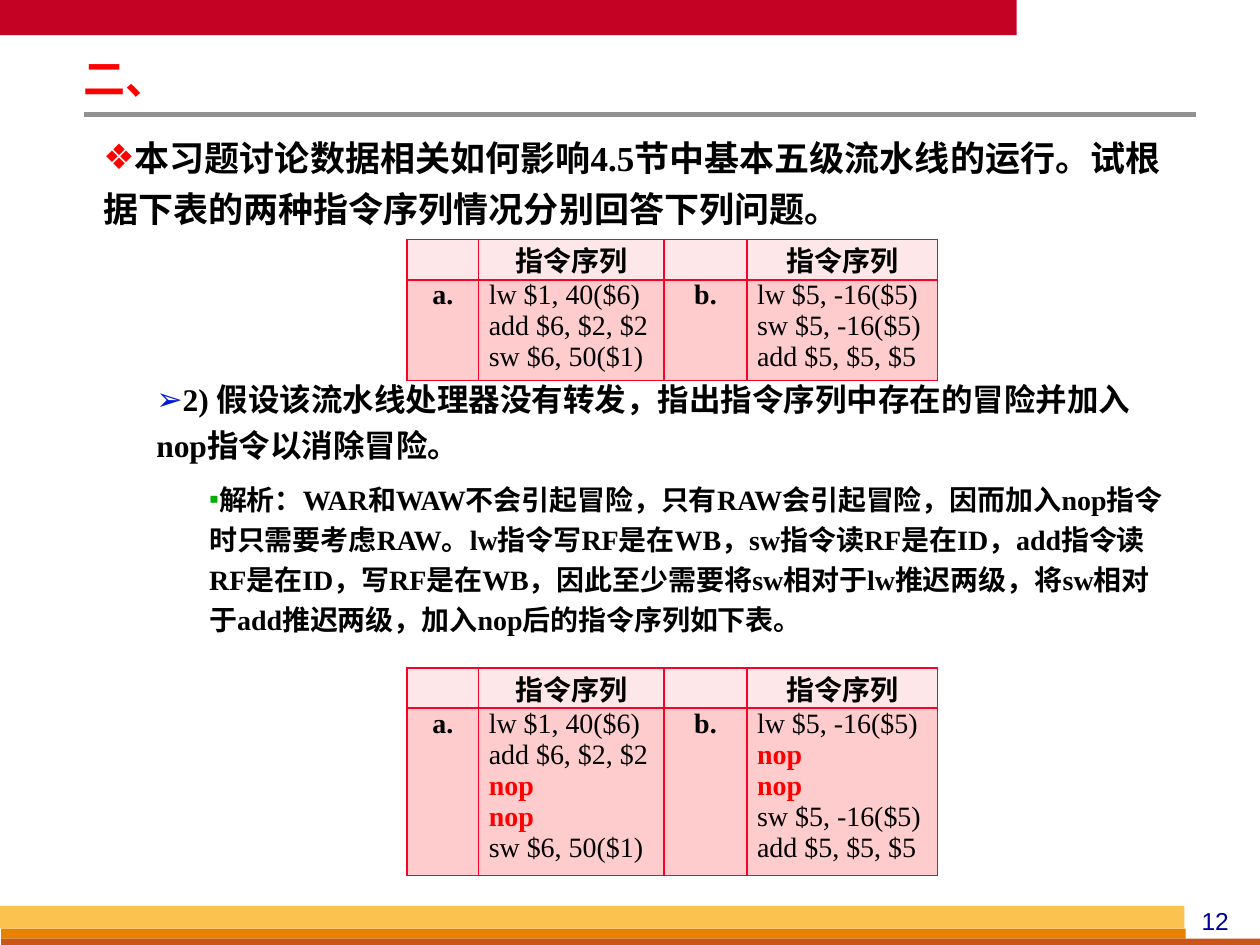
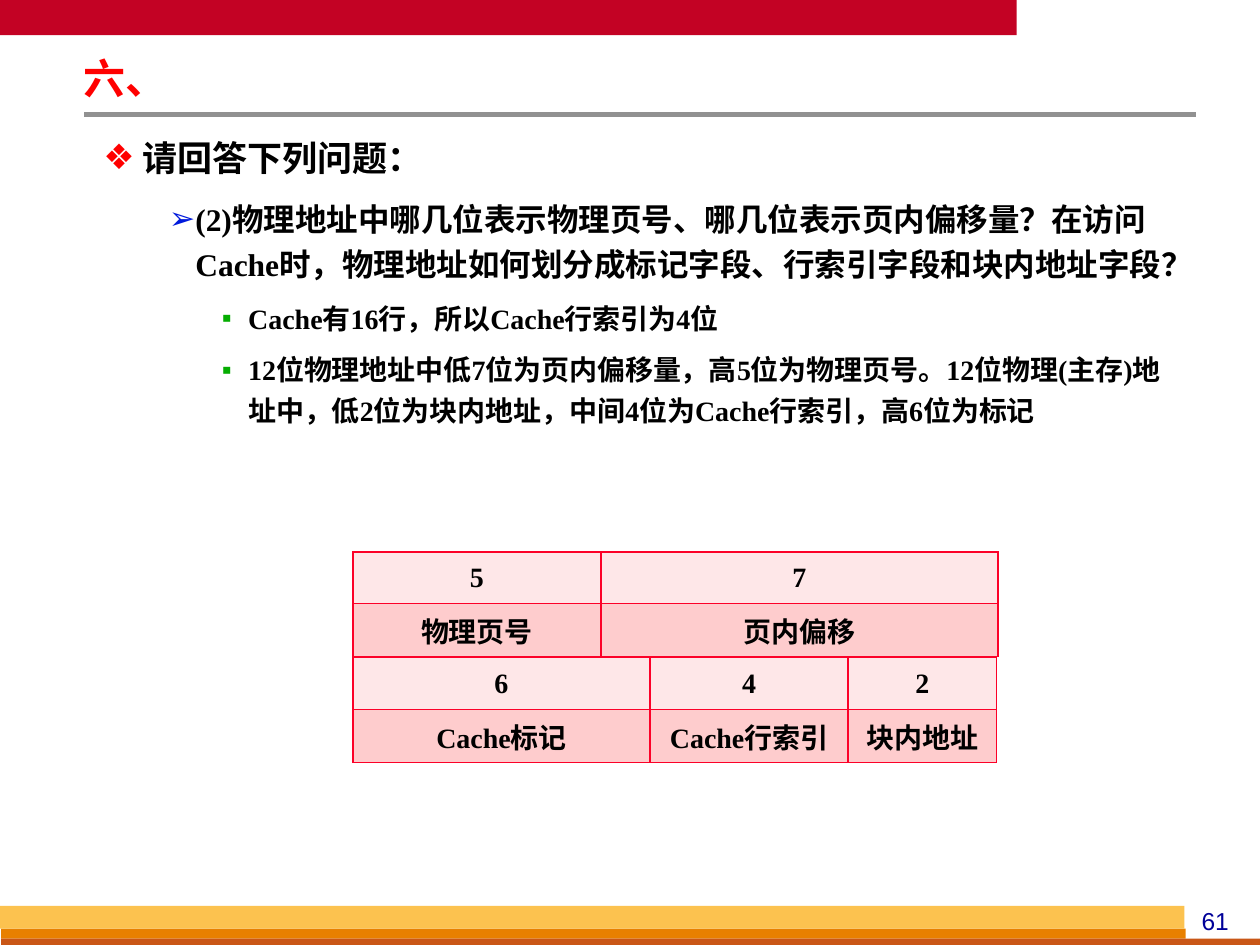
from lxml import etree
from pptx import Presentation
from pptx.dml.color import RGBColor
from pptx.enum.lang import MSO_LANGUAGE_ID as Language
from pptx.enum.shapes import MSO_CONNECTOR as Connector, MSO_SHAPE as Shape
from pptx.enum.text import MSO_ANCHOR as Anchor, MSO_AUTO_SIZE as AutoSize, PP_ALIGN as Align
from pptx.oxml.ns import qn
from pptx.util import Inches, Pt

SERIF, SANS = "Times New Roman", "Arial"
RED, BLACK, NAVY, GREY = "FF0000", "000000", "000099", "919191"
TABLE_BORDER, HEADER_FILL, ROW_FILL = "FC0128", "FEE7E8", "FECCCD"

# left, top, width, height, colour
BANDS = [
    (0, 0, 8.07, 0.28, "C30224"),
    (0.01, 7.37, 9.4, 0.08, "E88000"),
    (0.01, 7.45, 9.99, 0.05, "C95616"),
    (0, 7.19, 9.4, 0.18, "FCC24F"),
]
# one entry per outline level: bullet, bullet colour, text size
LEVELS = [("❖", RED, 20), ("➢", "001ADC", 18), ("▪", "05AD01", 16)]

CODE_HEADER = ["", "指令序列", "", "指令序列"]
CODE_COLUMNS = [0.57, 1.47, 0.66, 1.51]
CODE_INSETS = (0.08, 0)
FIELD_INSETS = (0.1, 0.05)

# A cell given as a list holds lines of code.
SLIDES = [
    {
        "title": "二、", "number": "12",
        # left indent and first-line indent per level
        "indents": [(0, 0), (0.42, 0), (0.84, 0)],
        # level, text, space before in points (None: the usual one)
        "body": [
            (0, "本习题讨论数据相关如何影响4.5节中基本五级流水线的运行。试根据下表的两种指令序列情况分别回答下列问题。", None),
            (1, "2) 假设该流水线处理器没有转发，指出指令序列中存在的冒险并加入nop指令以消除冒险。", 78),
            (2, "解析：WAR和WAW不会引起冒险，只有RAW会引起冒险，因而加入nop指令时只需要考虑RAW。"
                "lw指令写RF是在WB，sw指令读RF是在ID，add指令读RF是在ID，写RF是在WB，"
                "因此至少需要将sw相对于lw推迟两级，将sw相对于add推迟两级，加入nop后的指令序列如下表。", None),
        ],
        "body_height": 4.2,
        "tables": [
            {"at": (3.23, 1.9), "columns": CODE_COLUMNS, "rows": [0.27, 0.8],
             "insets": CODE_INSETS, "anchor": Anchor.TOP,
             "cells": [CODE_HEADER,
                       ["a.", ["lw $1, 40($6)", "add $6, $2, $2", "sw $6, 50($1)"],
                        "b.", ["lw $5, -16($5)", "sw $5, -16($5)", "add $5, $5, $5"]]]},
            {"at": (3.23, 5.3), "columns": CODE_COLUMNS, "rows": [0.27, 1.33],
             "insets": CODE_INSETS, "anchor": Anchor.TOP,
             "cells": [CODE_HEADER,
                       ["a.", ["lw $1, 40($6)", "add $6, $2, $2", "nop", "nop", "sw $6, 50($1)"],
                        "b.", ["lw $5, -16($5)", "nop", "nop", "sw $5, -16($5)", "add $5, $5, $5"]]]},
        ],
    },
    {
        "title": "六、", "number": "61",
        "indents": [(0.31, -0.31), (0.73, -0.21), (1.15, -0.21)],
        "body": [
            (0, "请回答下列问题：", None),
            (1, "(2)物理地址中哪几位表示物理页号、哪几位表示页内偏移量？"
                "在访问Cache时，物理地址如何划分成标记字段、行索引字段和块内地址字段？", None),
            (2, "Cache有16行，所以Cache行索引为4位", None),
            (2, "12位物理地址中低7位为页内偏移量，高5位为物理页号。"
                "12位物理(主存)地址中，低2位为块内地址，中间4位为Cache行索引，高6位为标记", None),
        ],
        "body_height": 2.87,
        "tables": [
            {"at": (2.8, 4.38), "columns": [1.97, 3.15], "rows": [0.41, 0.41],
             "insets": FIELD_INSETS, "anchor": Anchor.MIDDLE,
             "cells": [["5", "7"], ["物理页号", "页内偏移"]]},
            {"at": (2.8, 5.22), "columns": [2.36, 1.57, 1.18], "rows": [0.41, 0.41],
             "insets": FIELD_INSETS, "anchor": Anchor.MIDDLE,
             "cells": [["6", "4", "2"], ["Cache标记", "Cache行索引", "块内地址"]]},
        ],
    },
]


def color(hex_text):
    return RGBColor.from_string(hex_text)


def write(frame, text, size=16, font=SERIF, ink=BLACK, bold=True, align=Align.LEFT,
          line_spacing=None, before=0, after=0):
    """Fill the frame's empty first paragraph, or append one, and return it."""
    paragraph = frame.paragraphs[0]
    if paragraph.runs:
        paragraph = frame.add_paragraph()
    paragraph.alignment = align
    paragraph.line_spacing = line_spacing
    paragraph.space_before, paragraph.space_after = Pt(before), Pt(after)
    run = paragraph.add_run()
    run.text = text
    run.font.size, run.font.name, run.font.bold = Pt(size), font, bold
    run.font.color.rgb = color(ink)
    run.font.language_id = Language.SIMPLIFIED_CHINESE
    return paragraph


def place(shape, left, top, width, height):
    shape.left, shape.top = Inches(left), Inches(top)
    shape.width, shape.height = Inches(width), Inches(height)
    frame = shape.text_frame
    frame.word_wrap, frame.auto_size = True, AutoSize.NONE
    frame.vertical_anchor = Anchor.TOP
    frame.margin_left = frame.margin_right = Inches(0.07)
    frame.margin_top = frame.margin_bottom = Inches(0.03)
    return frame


def set_bullet(paragraph, character, ink, left, first_line):
    properties = paragraph._p.get_or_add_pPr()
    properties.set("marL", str(Inches(left)))
    properties.set("indent", str(Inches(first_line)))
    bullet_color = etree.SubElement(properties, qn("a:buClr"))
    etree.SubElement(bullet_color, qn("a:srgbClr"), val=ink)
    etree.SubElement(properties, qn("a:buFont"), typeface=SANS)
    etree.SubElement(properties, qn("a:buChar"), char=character)


def set_borders(cell):
    properties = cell._tc.get_or_add_tcPr()
    for position, side in enumerate(("lnL", "lnR", "lnT", "lnB")):
        line = etree.Element(qn("a:" + side), w=str(Pt(1)))
        fill = etree.SubElement(line, qn("a:solidFill"))
        etree.SubElement(fill, qn("a:srgbClr"), val=TABLE_BORDER)
        properties.insert(position, line)


def add_frame(slide, number):
    """Draw the bands, title rule and page number that every slide carries."""
    for left, top, width, height, ink in BANDS:
        band = slide.shapes.add_shape(Shape.RECTANGLE, Inches(left), Inches(top),
                                      Inches(width), Inches(height))
        band.shadow.inherit = False
        band.fill.solid()
        band.fill.fore_color.rgb = color(ink)
        band.line.fill.background()
    rule = slide.shapes.add_connector(Connector.STRAIGHT, Inches(0.67), Inches(0.91),
                                      Inches(9.49), Inches(0.91))
    rule.line.color.rgb, rule.line.width = color(GREY), Pt(3)
    etree.SubElement(rule._element.spPr, qn("a:effectLst"))
    box = slide.shapes.add_textbox(0, 0, 0, 0)
    frame = place(box, 9.33, 7.14, 0.63, 0.33)
    frame.margin_top = frame.margin_bottom = Inches(0.05)
    write(frame, number, size=14, font=SANS, ink=NAVY, bold=False, align=Align.CENTER)


def add_body(slide, content):
    frame = place(slide.placeholders[1], 0.75, 0.99, 8.58, content["body_height"])
    for level, text, before in content["body"]:
        character, ink, size = LEVELS[level]
        gap = size * 0.2
        paragraph = write(frame, text, size=size, line_spacing=1.2,
                          before=gap if before is None else before, after=gap)
        paragraph.level = level
        set_bullet(paragraph, character, ink, *content["indents"][level])


def fill_cell(cell, content, fill, insets, anchor):
    cell.fill.solid()
    cell.fill.fore_color.rgb = color(fill)
    set_borders(cell)
    cell.vertical_anchor = anchor
    cell.margin_left = cell.margin_right = Inches(insets[0])
    cell.margin_top = cell.margin_bottom = Inches(insets[1])
    if isinstance(content, list):
        for code in content:
            stall = code == "nop"
            write(cell.text_frame, code, ink=RED if stall else BLACK, bold=stall)
    elif content:
        write(cell.text_frame, content, align=Align.CENTER)
    else:
        cell.text_frame.paragraphs[0].font.size = Pt(16)


def add_grid(slide, at, columns, rows, insets, anchor, cells):
    table = slide.shapes.add_table(len(rows), len(columns), Inches(at[0]), Inches(at[1]),
                                   Inches(sum(columns)), Inches(sum(rows))).table
    table.first_row = table.horz_banding = False
    for column, width in zip(table.columns, columns):
        column.width = Inches(width)
    for row_index, (height, contents) in enumerate(zip(rows, cells)):
        table.rows[row_index].height = Inches(height)
        fill = ROW_FILL if row_index else HEADER_FILL
        for column_index, content in enumerate(contents):
            fill_cell(table.cell(row_index, column_index), content, fill, insets, anchor)


def main():
    presentation = Presentation()
    presentation.slide_width, presentation.slide_height = Inches(10), Inches(7.5)
    for content in SLIDES:
        slide = presentation.slides.add_slide(presentation.slide_layouts[1])
        add_frame(slide, content["number"])
        title = place(slide.shapes.title, 0.59, 0.44, 5.75, 0.41)
        write(title, content["title"], size=24, ink=RED, line_spacing=0.87)
        add_body(slide, content)
        for table in content["tables"]:
            add_grid(slide, **table)
    presentation.save("out.pptx")


if __name__ == "__main__":
    main()
